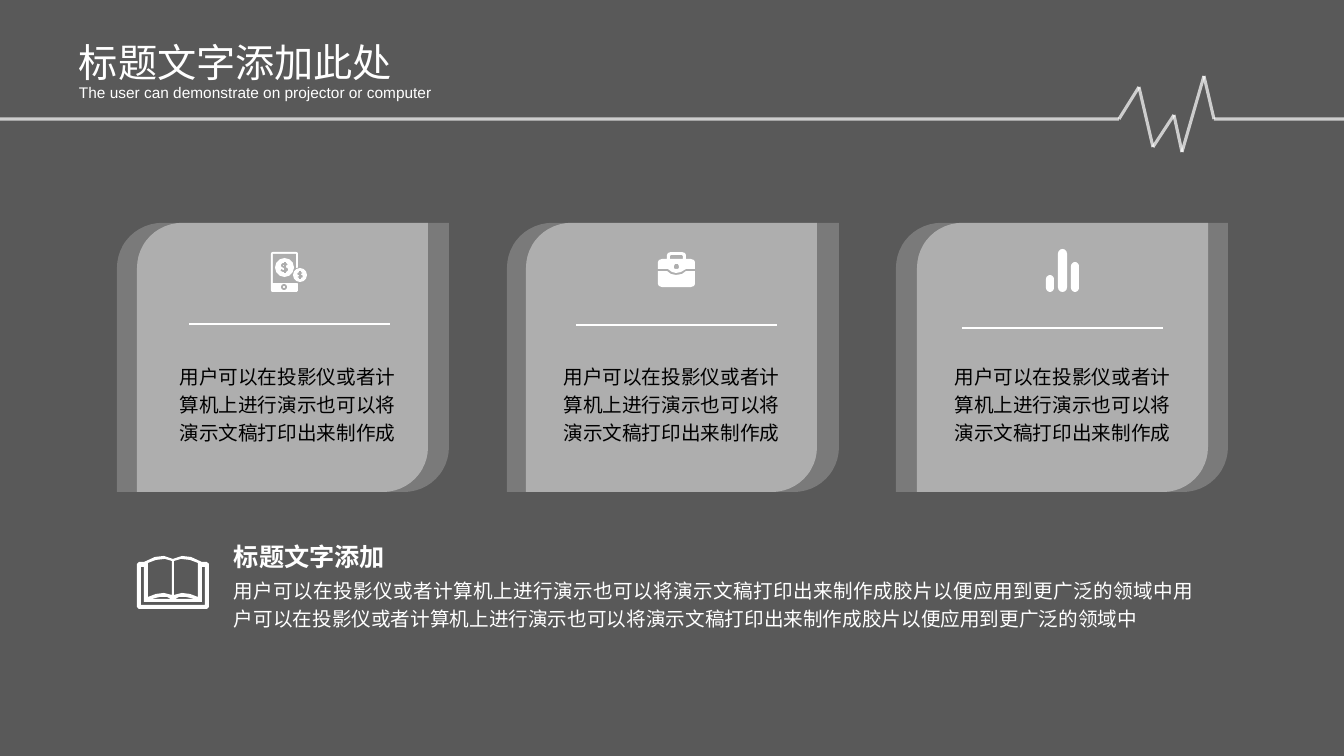
"""Build a dark slide with a pulse line, three icon cards and a book note."""
from itertools import pairwise

from lxml.etree import SubElement
from pptx import Presentation
from pptx.dml.color import RGBColor
from pptx.enum.shapes import MSO_CONNECTOR, MSO_SHAPE
from pptx.enum.text import MSO_AUTO_SIZE, PP_ALIGN
from pptx.oxml.ns import qn
from pptx.util import Pt

PX = 12192000 / 1344
COLORS = {
    "background": "595959",
    "white": "FFFFFF",
    "soft_white": "FEFEFE",
    "card": "ADADAD",
    "black": "000000",
}

presentation = Presentation()
presentation.slide_width = round(1344 * PX)
presentation.slide_height = round(756 * PX)
slide = presentation.slides.add_slide(presentation.slide_layouts[6])
slide.background.fill.solid()
slide.background.fill.fore_color.rgb = RGBColor.from_string(COLORS["background"])


def add_text(text, *, box, size, color="white", bold=False, align=PP_ALIGN.LEFT, spacing=1.0):
    frame = slide.shapes.add_textbox(*(round(value * PX) for value in box)).text_frame
    frame.word_wrap = True
    frame.auto_size = MSO_AUTO_SIZE.SHAPE_TO_FIT_TEXT
    paragraph = frame.paragraphs[0]
    paragraph.alignment = align
    paragraph.line_spacing = spacing
    run = paragraph.add_run()
    run.text = text
    run.font.name = "Arial"
    run.font.size = Pt(size)
    run.font.bold = bold
    run.font.color.rgb = RGBColor.from_string(COLORS[color])


def add_figure(kind, box, color="white", *, opacity=100, rounding=None):
    shape = slide.shapes.add_shape(kind, *(round(value * PX) for value in box))
    shape.shadow.inherit = False
    shape.line.fill.background()
    shape.fill.solid()
    shape.fill.fore_color.rgb = RGBColor.from_string(COLORS[color])
    if opacity < 100:
        tint = shape.fill._xPr.find(".//" + qn("a:srgbClr"))
        SubElement(tint, qn("a:alpha"), val=str(opacity * 1000))
    if rounding is not None:
        shape.adjustments[0] = rounding


add_text("标题文字添加此处", box=(69, 33, 391, 57), size=28)
add_text("The user can demonstrate on projector or computer",
         box=(69, 76, 438, 30), size=11, spacing=1.14)
add_text("用户可以在投影仪或者计算机上进行演示也可以将演示文稿打印出来制作成胶片以便应用到更广泛的领域中"
         "用户可以在投影仪或者计算机上进行演示也可以将演示文稿打印出来制作成胶片以便应用到更广泛的领域中",
         box=(224, 569, 980, 68), size=14, align=PP_ALIGN.JUSTIFY, spacing=1.2)
add_text("标题文字添加", box=(224, 530, 247, 43), size=18, bold=True,
         align=PP_ALIGN.JUSTIFY, spacing=1.2)

pulse = [(0, 119), (1119, 119), (1139, 87), (1153, 147), (1174, 115),
         (1182, 152), (1204, 76), (1214, 119), (1344, 119)]
lines = [(start, end, 2.25, 70) for start, end in pairwise(pulse)]

cards = [(117, 137, 189, 324, 167), (507, 526, 576, 325, 551), (896, 917, 962, 328, 942)]
for back_left, front_left, rule_left, rule_top, text_left in cards:
    add_figure(MSO_SHAPE.ROUND_2_DIAG_RECTANGLE, (back_left, 223, 332, 269), "soft_white", opacity=20)
    add_figure(MSO_SHAPE.ROUND_2_DIAG_RECTANGLE, (front_left, 223, 291, 269), "soft_white", opacity=40)
    lines.append(((rule_left, rule_top), (rule_left + 201, rule_top), 1.75, 100))
    add_text("用户可以在投影仪或者计算机上进行演示也可以将演示文稿打印出来制作成",
             box=(text_left, 355, 241, 96), size=14, color="black",
             align=PP_ALIGN.CENTER, spacing=1.2)

for start, end, width, opacity in lines:
    connector = slide.shapes.add_connector(
        MSO_CONNECTOR.STRAIGHT, *(round(value * PX) for value in start + end))
    connector.line.width = Pt(width)
    connector.line.color.rgb = RGBColor.from_string(COLORS["white"])
    if opacity < 100:
        tint = connector.line._ln.find(".//" + qn("a:srgbClr"))
        SubElement(tint, qn("a:alpha"), val=str(opacity * 1000))
    SubElement(connector._element.spPr, qn("a:effectLst"))

add_figure(MSO_SHAPE.ROUNDED_RECTANGLE, (271, 252, 27, 40), rounding=0.07)
add_figure(MSO_SHAPE.RECTANGLE, (273, 254, 23, 29), "card")
add_figure(MSO_SHAPE.OVAL, (275, 258, 19, 19))
add_figure(MSO_SHAPE.OVAL, (281, 284, 6, 6), "card")
add_figure(MSO_SHAPE.OVAL, (283, 286, 2, 2))
add_figure(MSO_SHAPE.OVAL, (292, 267, 17, 17), "card")
add_figure(MSO_SHAPE.OVAL, (293, 268, 14, 14))

for left, top, width, height in [(1046, 275, 8, 17), (1058, 249, 9, 43), (1071, 262, 8, 30)]:
    add_figure(MSO_SHAPE.ROUNDED_RECTANGLE, (left, top, width, height), rounding=0.5)

left_page = [(148, 563), (156, 560), (165, 559), (172, 561),
             (172, 595), (164, 593), (156, 594), (148, 597)]
left_fold = [(151, 599), (160, 597), (167, 597), (171, 599)]
book = [
    [(139, 562), (144, 562), (155, 557), (164, 556), (173, 559), (182, 556), (191, 557),
     (202, 562), (207, 562), (209, 564), (209, 607), (207, 609), (139, 609), (137, 607), (137, 564)],
    [(141, 567), (144, 567), (144, 602), (202, 602), (202, 567), (205, 567), (205, 605), (141, 605)],
]
for contour in (left_page, left_fold):
    book += [contour, [(346 - x, y) for x, y in contour]]
case_lid = [
    [(658, 269), (658, 262), (659, 260), (662, 259), (667, 259), (667, 255), (668, 253), (671, 252),
     (682, 252), (685, 253), (686, 255), (686, 259), (691, 259), (694, 260), (695, 262), (695, 269),
     (686, 269), (681, 272), (676, 273), (672, 272), (668, 269)],
    [(670, 259), (670, 256), (671, 255), (682, 255), (683, 256), (683, 259)],
    [(675, 264), (678, 264), (679, 266), (679, 268), (678, 269), (675, 269), (674, 268), (674, 266)],
]
case_base = [[(658, 271), (667, 271), (671, 274), (676, 275), (682, 274), (686, 271), (695, 271),
              (695, 284), (694, 286), (691, 287), (662, 287), (659, 286), (658, 284)]]
large_dollar = [[(287, 265), (286, 264), (283, 264), (282, 265), (282, 266), (287, 269),
                 (287, 270), (286, 271), (283, 271), (281, 270)], [(285, 262), (285, 273)]]
small_dollar = [[(302, 273), (299, 273), (298, 274), (302, 276), (302, 277), (298, 277)],
                [(300, 271), (300, 279)]]

icons = [(book, None), (case_lid, None), (case_base, None), (large_dollar, 1.25), (small_dollar, 1)]
for contours, stroke in icons:
    builder = slide.shapes.build_freeform(*contours[0][0], scale=PX)
    for contour in contours:
        builder.move_to(*contour[0])
        builder.add_line_segments(contour[1:], close=stroke is None)
    shape = builder.convert_to_shape()
    shape.shadow.inherit = False
    if stroke is None:
        shape.fill.solid()
        shape.fill.fore_color.rgb = RGBColor.from_string(COLORS["white"])
        shape.line.fill.background()
    else:
        shape.fill.background()
        shape.line.width = Pt(stroke)
        shape.line.color.rgb = RGBColor.from_string(COLORS["card"])

presentation.save("out.pptx")
